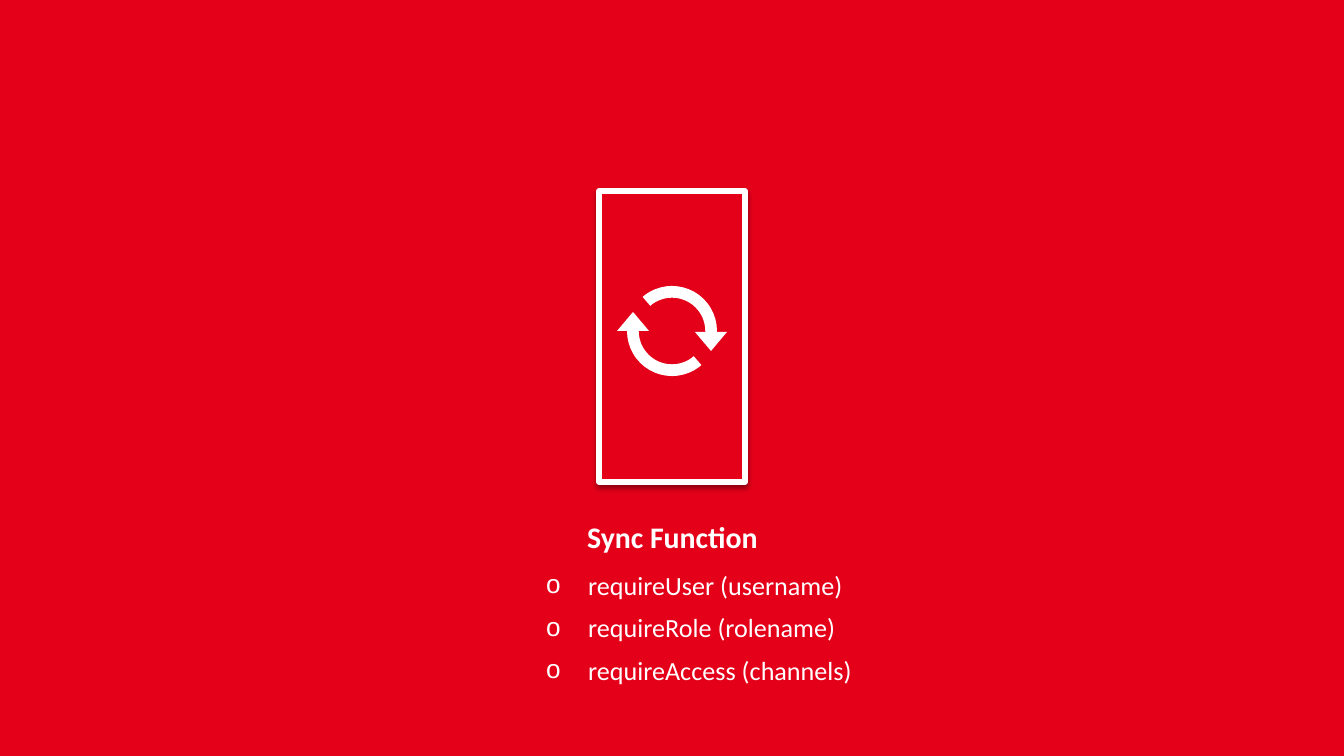
"""Build the Sync Function slide with its sync icon and list of access checks."""
import lxml.etree
import pptx
import pptx.dml.color
import pptx.enum.shapes
import pptx.enum.text
import pptx.oxml.ns
import pptx.util

RED = pptx.dml.color.RGBColor(0xE5, 0x00, 0x1A)
WHITE = pptx.dml.color.RGBColor(0xFF, 0xFF, 0xFF)
BLACK = pptx.dml.color.RGBColor(0x00, 0x00, 0x00)
SHAPES = pptx.enum.shapes.MSO_SHAPE
ANCHORS = pptx.enum.text.MSO_ANCHOR
ALIGNMENTS = pptx.enum.text.PP_ALIGN
EMU_PER_PX = 914400 / 134.4


def px(length):
    return pptx.util.Emu(round(length * EMU_PER_PX))


def add_element(parent, tag, **attributes):
    return lxml.etree.SubElement(parent, pptx.oxml.ns.qn(tag), attributes)


class SlideBuilder:
    font_name = "Calibri"

    def __init__(self, presentation):
        self.slide = presentation.slides.add_slide(presentation.slide_layouts[1])
        self.slide.background.fill.solid()
        self.slide.background.fill.fore_color.rgb = RED

    def shape(self, kind, box, fill, parent=None, rotation=0, adjustments=()):
        shapes = (parent or self.slide).shapes
        shape = shapes.add_shape(kind, *map(px, box))
        shape.rotation = rotation
        for index, value in enumerate(adjustments):
            shape.adjustments[index] = value
        shape.fill.solid()
        shape.fill.fore_color.rgb = fill
        shape.line.fill.background()
        shape.shadow.inherit = False
        return shape

    def frame(self, box):
        frame = self.shape(SHAPES.RECTANGLE, box, RED)
        frame.line.color.rgb = WHITE
        frame.line.width = pptx.util.Pt(3)
        effects = frame._element.spPr.find(pptx.oxml.ns.qn("a:effectLst"))
        shadow = add_element(effects, "a:outerShdw", blurRad="39370", dist="20320",
                             dir="5400000", rotWithShape="0")
        color = add_element(shadow, "a:srgbClr", val=str(BLACK))
        add_element(color, "a:alpha", val="38000")

    def sync_icon(self, arc_box, arrow_boxes):
        group = self.slide.shapes.add_group_shape()
        for rotation, arrow_box in zip((180, 0), arrow_boxes):
            self.shape(SHAPES.BLOCK_ARC, arc_box, WHITE, group, rotation,
                       (137.53, 1.08, 0.13))
            self.shape(SHAPES.ISOSCELES_TRIANGLE, arrow_box, WHITE, group,
                       180 - rotation)

    def text(self, placeholder, box, lines, size, bold=False, anchor=ANCHORS.TOP,
             alignment=ALIGNMENTS.LEFT, indent=0):
        placeholder.left, placeholder.top, placeholder.width, placeholder.height = map(px, box)
        frame = placeholder.text_frame
        frame.margin_left = frame.margin_top = frame.margin_right = frame.margin_bottom = 0
        frame.word_wrap = True
        frame.auto_size = pptx.enum.text.MSO_AUTO_SIZE.NONE
        frame.vertical_anchor = anchor
        frame.text = "\n".join(lines)
        for index, paragraph in enumerate(frame.paragraphs):
            paragraph.alignment = alignment
            paragraph.space_before = pptx.util.Pt(6 if index else 0)
            if indent:
                self.bullet(paragraph, indent)
            paragraph.font.name = self.font_name
            paragraph.font.size = pptx.util.Pt(size)
            paragraph.font.bold = bold
            paragraph.font.color.rgb = WHITE

    def bullet(self, paragraph, indent):
        properties = paragraph._p.get_or_add_pPr()
        properties.set("marL", str(px(indent)))
        properties.set("indent", str(-px(indent)))
        color = add_element(properties, "a:buClr")
        add_element(color, "a:srgbClr", val=str(WHITE))
        add_element(properties, "a:buChar", char="o")

    def title(self, box, line):
        self.text(self.slide.shapes.title, box, [line], 16, bold=True,
                  anchor=ANCHORS.MIDDLE, alignment=ALIGNMENTS.CENTER)

    def bullet_list(self, box, lines):
        self.text(self.slide.placeholders[1], box, lines, 14, indent=42)


def main():
    presentation = pptx.Presentation()
    presentation.slide_width = px(1344)
    presentation.slide_height = px(756)
    builder = SlideBuilder(presentation)
    builder.frame((599, 191, 146, 291))
    builder.sync_icon((627, 286, 90, 90), ((617, 312, 32, 19), (695, 332, 32, 19)))
    builder.bullet_list((546, 569, 359, 108), (
        "requireUser (username)",
        "requireRole (rolename)",
        "requireAccess (channels)",
    ))
    builder.title((481, 517, 383, 39), "Sync Function")
    presentation.save("out.pptx")


if __name__ == "__main__":
    main()
